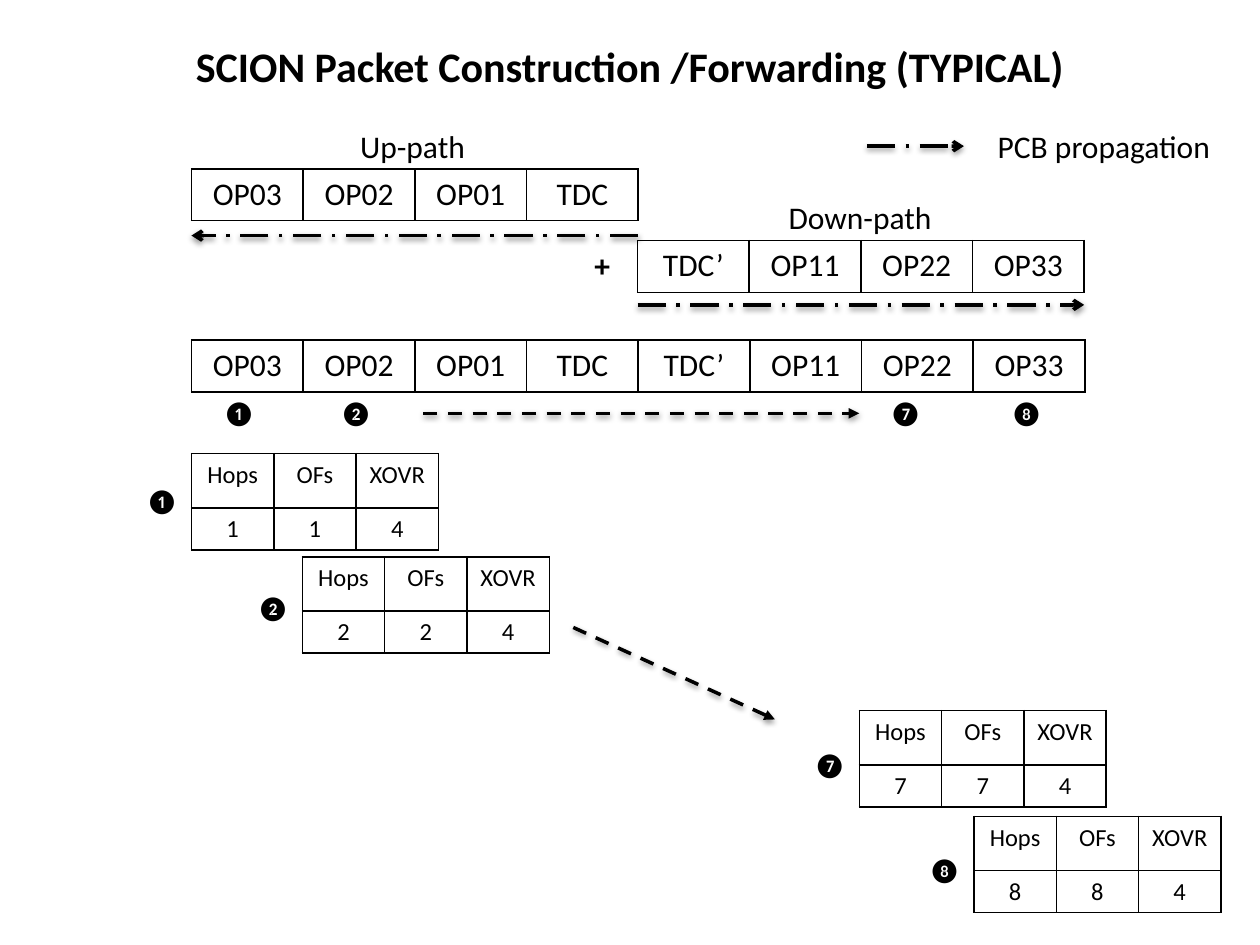
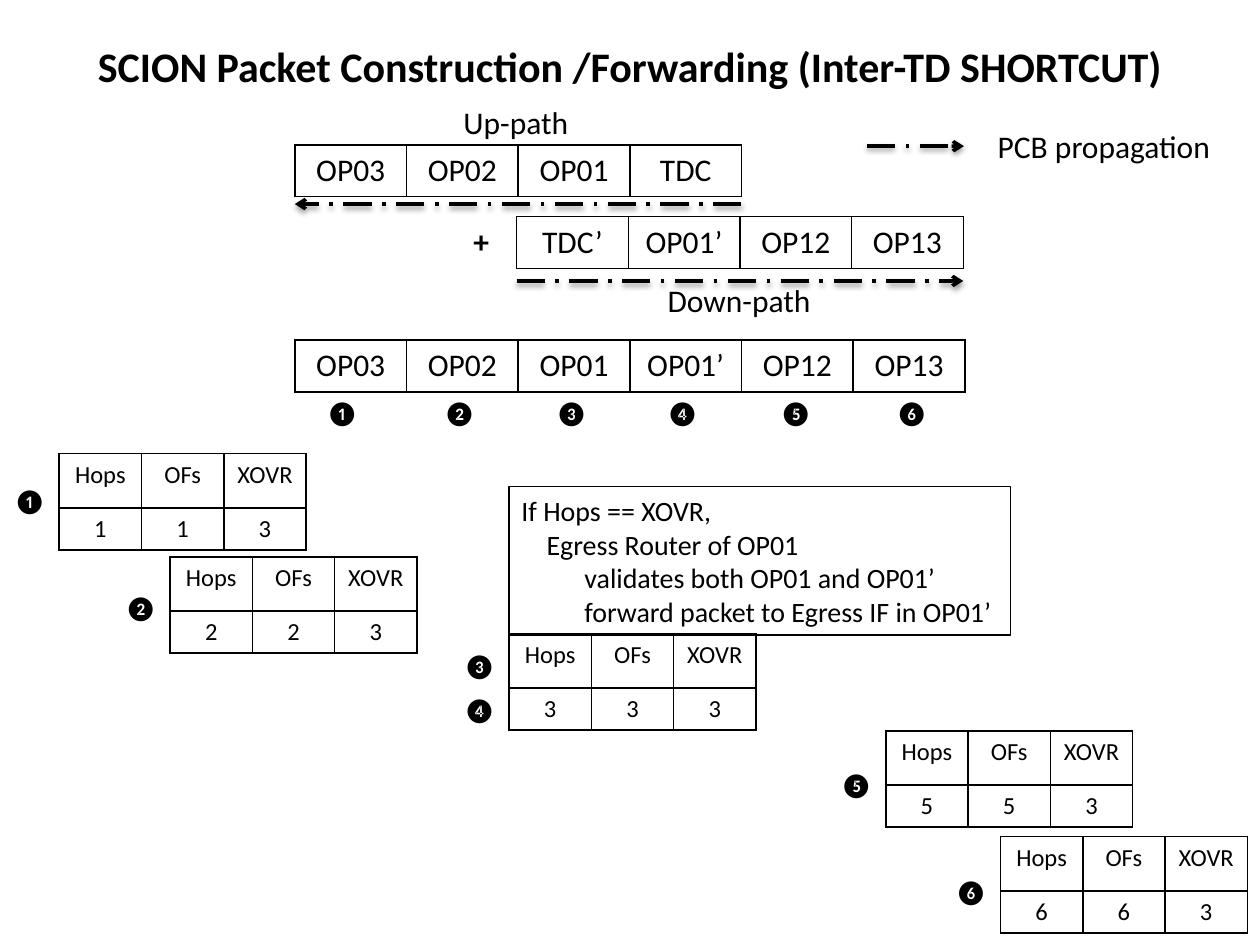
from lxml import etree
from pptx import Presentation
from pptx.dml.color import RGBColor
from pptx.enum.dml import MSO_LINE
from pptx.enum.shapes import MSO_CONNECTOR, MSO_SHAPE
from pptx.enum.text import MSO_ANCHOR, MSO_AUTO_SIZE, PP_ALIGN
from pptx.oxml import parse_xml
from pptx.oxml.ns import nsdecls, qn
from pptx.util import Inches, Pt

BLACK = RGBColor(0x00, 0x00, 0x00)
FONT = "Calibri"
LEFT, CENTER = PP_ALIGN.LEFT, PP_ALIGN.CENTER
MIDDLE = MSO_ANCHOR.MIDDLE
FIT_TEXT = MSO_AUTO_SIZE.SHAPE_TO_FIT_TEXT
STRAIGHT = MSO_CONNECTOR.STRAIGHT
RECTANGLE = MSO_SHAPE.RECTANGLE
DASH, LONG_DASH_DOT = MSO_LINE.DASH, MSO_LINE.LONG_DASH_DOT

SLIDE_WIDTH, SLIDE_HEIGHT = 10, 7.5
OPAQUE_FIELD_WIDTH = 7.09 / 8
PATH_HEIGHT = 0.41
HEADER_WIDTH = 1.96
HEADER_ROWS = (0.43, 0.33)
MARKS = "❶❷❸❹❺❻❼❽"
UP_PATH = ("OP03", "OP02", "OP01", "TDC")


def style_paragraph(paragraph, size, align=LEFT, bold=False):
    """Give a paragraph the shared font and its alignment."""
    paragraph.alignment = align
    font = paragraph.font
    font.name, font.size, font.bold = FONT, Pt(size), bold
    font.color.rgb = BLACK


def add_text(slide, text, left, top, width, height=0.4, size=18, **style):
    """Add a one-line text box."""
    box = slide.shapes.add_textbox(Inches(left), Inches(top), Inches(width), Inches(height))
    frame = box.text_frame
    frame.word_wrap = False
    frame.auto_size = FIT_TEXT
    frame.text = text
    style_paragraph(frame.paragraphs[0], size, **style)


def add_mark(slide, number, left, top):
    """Add a circled hop number."""
    add_text(slide, MARKS[number - 1], left, top, 0.46, 0.34, 14)


def add_arrow(slide, start, end, dash=LONG_DASH_DOT, head="arrow"):
    """Add a dashed arrow with a soft shadow."""
    connector = slide.shapes.add_connector(STRAIGHT, *(Inches(value) for value in start + end))
    line = connector.line
    line.color.rgb = BLACK
    line.width = Pt(2)
    line.dash_style = dash
    etree.SubElement(line._get_or_add_ln(), qn("a:tailEnd"), type=head)
    connector._element.spPr.append(parse_xml(
        f'<a:effectLst {nsdecls("a")}><a:outerShdw blurRad="40000" dist="20000" '
        'dir="5400000" rotWithShape="0"><a:srgbClr val="000000">'
        '<a:alpha val="38000"/></a:srgbClr></a:outerShdw></a:effectLst>'))


def style_cell(cell, text, size):
    """Fill a cell with centred text and draw its four borders."""
    cell.text = text
    style_paragraph(cell.text_frame.paragraphs[0], size, CENTER)
    cell.fill.background()
    properties = cell._tc.get_or_add_tcPr()
    for position, side in enumerate(("lnL", "lnR", "lnT", "lnB")):
        properties.insert(position, parse_xml(
            f'<a:{side} {nsdecls("a")} w="12700"><a:solidFill>'
            f'<a:srgbClr val="{BLACK}"/></a:solidFill></a:{side}>'))


def add_grid(slide, rows, left, top, width, heights, size):
    """Add a bordered table with equal columns."""
    frame = slide.shapes.add_table(len(rows), len(rows[0]), Inches(left), Inches(top),
                                   Inches(width), Inches(sum(heights)))
    table = frame.table
    table.first_row = table.horz_banding = False
    for row, height, texts in zip(table.rows, heights, rows):
        row.height = Inches(height)
        for cell, text in zip(row.cells, texts):
            style_cell(cell, text, size)


def add_path(slide, fields, left, top):
    """Add a strip of opaque fields and return its right edge."""
    width = OPAQUE_FIELD_WIDTH * len(fields)
    add_grid(slide, [fields], left, top, width, [PATH_HEIGHT], 18)
    return left + width


def add_up_path(slide, left, top, arrow_drop):
    """Add the labelled up-path with propagation towards the left."""
    right = add_path(slide, UP_PATH, left, top)
    add_text(slide, "Up-path", left + 1.24, top - 0.38, 1.04)
    add_arrow(slide, (right, top + arrow_drop), (left, top + arrow_drop))


def add_down_path(slide, fields, left, top, label_drop):
    """Add the labelled down-path, its plus sign and propagation towards the right."""
    right = add_path(slide, fields, left, top)
    add_text(slide, "Down-path", left + 1.1, top + label_drop, 1.35)
    add_text(slide, "+", left - 0.44, top - 0.01, 0.33, bold=True)
    add_arrow(slide, (left, top + 0.51), (right, top + 0.51))


def add_joined_path(slide, fields, left, marks):
    """Add the complete path with hop numbers below it."""
    top = 2.7
    add_path(slide, fields, left, top)
    for number, offset in marks:
        add_mark(slide, number, left + offset, top + 0.41)


def add_header(slide, hops, crossover, left, top, marks):
    """Add a packet header table with hop numbers at its left."""
    rows = [("Hops", "OFs", "XOVR"), (str(hops), str(hops), str(crossover))]
    add_grid(slide, rows, left, top, HEADER_WIDTH, HEADER_ROWS, 14)
    for number, drop in marks:
        add_mark(slide, number, left - 0.46, top + drop)


def add_rule(slide, left, top):
    """Add the framed crossover rule."""
    lines = (("If Hops == XOVR,", 0, 0), ("Egress Router of OP01", 0, 0.2),
             ("validates both OP01 and OP01’", 1, 0.5),
             ("forward packet to Egress IF in OP01’", 1, 0.5))
    box = slide.shapes.add_shape(RECTANGLE, Inches(left), Inches(top), Inches(3.98), Inches(1.18))
    box.shadow.inherit = False
    box.fill.background()
    box.line.color.rgb = BLACK
    box.line.width = Pt(0.75)
    frame = box.text_frame
    frame.word_wrap = False
    frame.auto_size = FIT_TEXT
    frame.vertical_anchor = MIDDLE
    for index, (text, level, indent) in enumerate(lines):
        paragraph = frame.add_paragraph() if index else frame.paragraphs[0]
        paragraph.text = text
        paragraph.level = level
        paragraph._p.get_or_add_pPr().set("marL", str(Inches(indent)))
        style_paragraph(paragraph, 16)


def add_packet_slide(presentation, variant, title_width):
    """Add a slide with the shared title and propagation legend."""
    slide = presentation.slides.add_slide(presentation.slide_layouts[6])
    add_text(slide, f"SCION Packet Construction /Forwarding ({variant})",
             (SLIDE_WIDTH - title_width) / 2, 0.27, title_width, 0.5, 24,
             align=CENTER, bold=True)
    add_arrow(slide, (6.88, 1.16), (7.65, 1.16))
    add_text(slide, "PCB propagation", 7.82, 0.96, 1.91)
    return slide


def build_typical(presentation):
    """Build the slide for a typical path."""
    slide = add_packet_slide(presentation, "TYPICAL", 7.16)
    down_path = ("TDC’", "OP11", "OP22", "OP33")
    add_up_path(slide, 1.52, 1.34, 0.53)
    add_down_path(slide, down_path, 5.06, 1.91, -0.39)
    add_joined_path(slide, UP_PATH + down_path, 1.52,
                    ((1, 0.15), (2, 1.08), (7, 5.44), (8, 6.4)))
    for hop, left, top, drop in ((1, 1.52, 3.6, 0.21), (2, 2.4, 4.42, 0.24),
                                 (7, 6.82, 5.64, 0.26), (8, 7.73, 6.48, 0.26)):
        add_header(slide, hop, 4, left, top, [(hop, drop)])
    add_arrow(slide, (3.36, 3.28), (6.82, 3.28), DASH, "triangle")
    add_arrow(slide, (4.55, 4.98), (6.15, 5.71), DASH, "triangle")


def build_shortcut(presentation):
    """Build the slide for a shortcut between trust domains."""
    slide = add_packet_slide(presentation, "Inter-TD SHORTCUT", 8.73)
    down_path = ("TDC’", "OP01’", "OP12", "OP13")
    add_up_path(slide, 2.34, 1.15, 0.47)
    add_down_path(slide, down_path, 4.1, 1.72, 0.46)
    add_joined_path(slide, UP_PATH[:3] + down_path[1:], 2.34,
                    enumerate((0.15, 1.08, 1.97, 2.85, 3.75, 4.67), start=1))
    for hops, left, top, marks in ((1, 0.47, 3.6, [(1, 0.21)]),
                                   (2, 1.35, 4.42, [(2, 0.24)]),
                                   (3, 4.04, 5.03, [(3, 0.09), (4, 0.44)]),
                                   (5, 7.03, 5.8, [(5, 0.26)]),
                                   (6, 7.94, 6.64, [(6, 0.27)])):
        add_header(slide, hops, 3, left, top, marks)
    add_rule(slide, 4.04, 3.86)


def main():
    """Build and save the presentation."""
    presentation = Presentation()
    presentation.slide_width = Inches(SLIDE_WIDTH)
    presentation.slide_height = Inches(SLIDE_HEIGHT)
    build_typical(presentation)
    build_shortcut(presentation)
    presentation.save("out.pptx")


if __name__ == "__main__":
    main()
